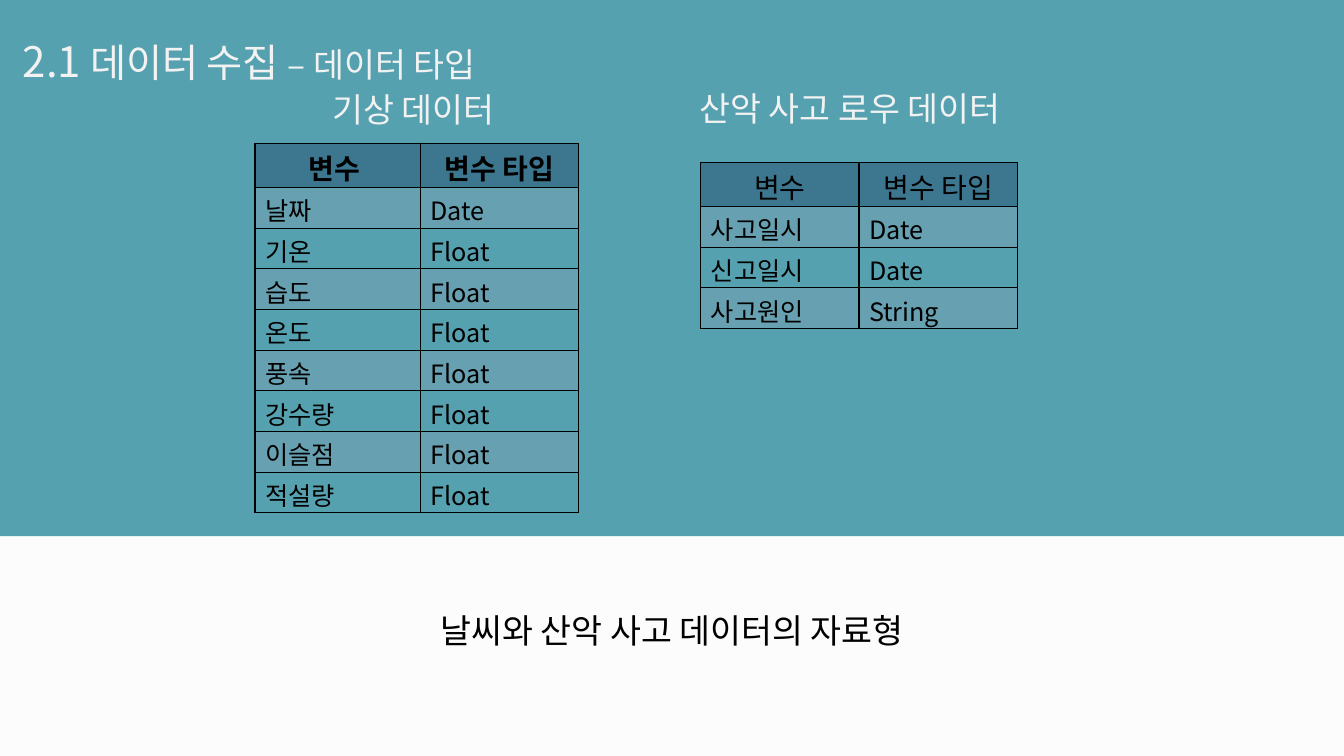
from lxml import etree
from pptx import Presentation
from pptx.dml.color import RGBColor
from pptx.enum import shapes, text
from pptx.oxml import ns
from pptx.util import Inches, Pt

FONT = "Noto Sans CJK KR"
BACKGROUND = RGBColor(0xFC, 0xFC, 0xFC)
TEAL = RGBColor(0x56, 0xA1, 0xB0)
PALE = RGBColor(0xF2, 0xF2, 0xF2)
BLACK = RGBColor(0, 0, 0)
NAVY = RGBColor(0x17, 0x37, 0x5E)
BAND = RGBColor(0x81, 0x9F, 0xB2)
HEADER_HEIGHT = 0.44

WEATHER = [("날짜", "Date")] + [
    (name, "Float")
    for name in ("기온", "습도", "온도", "풍속", "강수량", "이슬점", "적설량")
]
ACCIDENTS = [("사고일시", "Date"), ("신고일시", "Date"), ("사고원인", "String")]


def add_run(p, content, size=24, color=BLACK, bold=False):
    r = p.add_run()
    r.text = content
    r.font.size = Pt(size)
    r.font.bold = bold
    r.font.name = FONT
    r.font.color.rgb = color
    east_asian = etree.SubElement(r.font._element, ns.qn("a:ea"))
    east_asian.set("typeface", FONT)


def add_text(s, runs, left, top, width, height, color=PALE, align=None, spacing=None):
    """Add a one-paragraph box; runs is a list of (text, size) pairs."""
    sp = s.shapes.add_textbox(Inches(left), Inches(top), Inches(width), Inches(height))
    tf = sp.text_frame
    tf.word_wrap = True
    tf.auto_size = text.MSO_AUTO_SIZE.SHAPE_TO_FIT_TEXT
    p = tf.paragraphs[0]
    p.alignment = align
    p.line_spacing = spacing
    for content, size in runs:
        add_run(p, content, size, color)


def add_borders(cell):
    tc_pr = cell._tc.get_or_add_tcPr()
    for side in ("lnL", "lnR", "lnT", "lnB"):
        ln = etree.SubElement(tc_pr, ns.qn("a:" + side), w=str(Pt(1)))
        fill = etree.SubElement(ln, ns.qn("a:solidFill"))
        etree.SubElement(fill, ns.qn("a:srgbClr"), val=str(BLACK))


def fill_cell(cell, color):
    """Fill with 40 % opacity, or leave the cell clear when color is None."""
    if color is None:
        cell.fill.background()
        return
    cell.fill.solid()
    cell.fill.fore_color.rgb = color
    rgb = cell._tc.tcPr.find(ns.qn("a:solidFill")).find(ns.qn("a:srgbClr"))
    etree.SubElement(rgb, ns.qn("a:alpha"), val="40000")


def add_type_table(s, header, rows, left, top, widths, height, bold_header=False):
    frame = s.shapes.add_table(
        len(rows) + 1, len(widths),
        Inches(left), Inches(top), Inches(sum(widths)), Inches(height),
    )
    table = frame.table
    table.first_row = table.horz_banding = False
    for column, width in zip(table.columns, widths):
        column.width = Inches(width)
    body_height = (height - HEADER_HEIGHT) / len(rows)
    for i, values in enumerate([header] + rows):
        is_header = i == 0
        table.rows[i].height = Inches(HEADER_HEIGHT if is_header else body_height)
        for j, value in enumerate(values):
            cell = table.cell(i, j)
            cell.margin_top, cell.margin_bottom = Inches(0.04), Inches(0)
            add_borders(cell)
            fill_cell(cell, NAVY if is_header else BAND if i % 2 else None)
            p = cell.text_frame.paragraphs[0]
            if is_header:
                p.alignment = text.PP_ALIGN.CENTER
            add_run(p, value, 20 if is_header else 18, bold=is_header and bold_header)


def main():
    prs = Presentation()
    prs.slide_width, prs.slide_height = Inches(13.33), Inches(7.5)
    s = prs.slides.add_slide(prs.slide_layouts[6])
    s.background.fill.solid()
    s.background.fill.fore_color.rgb = BACKGROUND

    panel = s.shapes.add_shape(
        shapes.MSO_SHAPE.RECTANGLE, 0, 0, Inches(13.36), Inches(5.32)
    )
    panel.shadow.inherit = False
    panel.fill.solid()
    panel.fill.fore_color.rgb = TEAL
    panel.line.fill.background()

    title = [("2.1", 30), (" 데이터 수집 ", 28), ("– 데이터 타입", 24)]
    add_text(s, title, 0.13, 0.05, 7.9, 0.8, spacing=1.5)
    add_type_table(s, ("변수", "변수 타입"), ACCIDENTS, 6.95, 1.61, (1.57, 1.57), 1.65)
    add_text(s, [("날씨와 산악 사고 데이터의 자료형", 24)], 2.53, 5.8, 8.27, 0.66,
             color=BLACK, align=text.PP_ALIGN.CENTER, spacing=1.5)
    add_text(s, [("기상 데이터", 24)], 3.2, 0.83, 2.71, 0.5)
    add_text(s, [("산악 사고 로우 데이터", 24)], 6.84, 0.82, 4.08, 0.5)
    add_type_table(s, ("변수 ", "변수 타입"), WEATHER, 2.53, 1.42, (1.64, 1.57), 3.67,
                   bold_header=True)
    prs.save("out.pptx")


if __name__ == "__main__":
    main()
